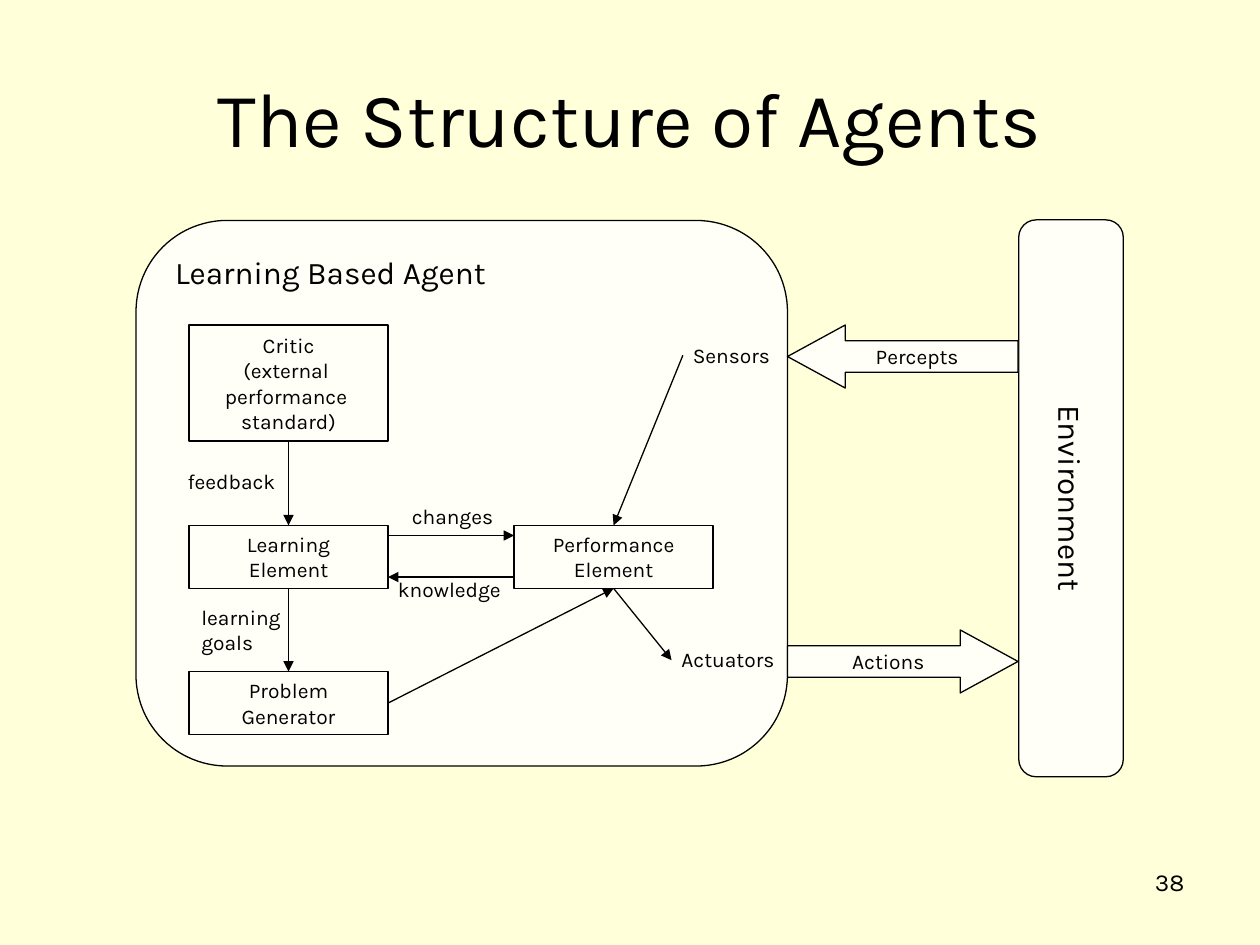
from pptx import Presentation
from pptx import util as u
from pptx.dml.color import RGBColor
from pptx.enum import shapes, text
from pptx.oxml.ns import qn
from lxml import etree

INK, PANEL, PAPER = "000000", "FFFFF7", "FFFFD9"
FONT = "Karla"
SHAPE = shapes.MSO_SHAPE
ALIGN = text.PP_ALIGN
ANCHOR = text.MSO_ANCHOR


def color(hex_code):
    return RGBColor.from_string(hex_code)


class Diagram:
    """Draws elements on one slide in a shared style."""

    def __init__(self, slide):
        self.slide = slide
        fill = slide.background.fill
        fill.solid()
        fill.fore_color.rgb = color(PAPER)

    def fill_text(self, frame, lines, size, align, anchor, wrap=False):
        frame.word_wrap = wrap
        frame.vertical_anchor = anchor
        for i, line in enumerate(lines):
            paragraph = frame.add_paragraph() if i else frame.paragraphs[0]
            paragraph.alignment = align
            run = paragraph.add_run()
            run.text = line
            run.font.size = u.Pt(size)
            run.font.name = FONT
            run.font.color.rgb = color(INK)

    def title(self, wording, box):
        holder = self.slide.shapes.title
        holder.left, holder.top, holder.width, holder.height = map(u.Inches, box)
        holder.text_frame.auto_size = text.MSO_AUTO_SIZE.NONE
        self.fill_text(holder.text_frame, [wording], 44, ALIGN.CENTER,
                       ANCHOR.MIDDLE, wrap=True)

    def block(self, kind, box, lines, size=12, align=ALIGN.CENTER,
              anchor=ANCHOR.MIDDLE, adjust=(), rotation=0):
        block = self.slide.shapes.add_shape(kind, *map(u.Inches, box))
        block.shadow.inherit = False
        block.rotation = rotation
        for i, value in enumerate(adjust):
            block.adjustments[i] = value
        block.fill.solid()
        block.fill.fore_color.rgb = color(PANEL)
        block.line.color.rgb = color(INK)
        block.line.width = u.Pt(0.75)
        self.fill_text(block.text_frame, lines, size, align, anchor)

    def label(self, wording, box, size=12, align=ALIGN.LEFT, wrap=False):
        label = self.slide.shapes.add_textbox(*map(u.Inches, box))
        self.fill_text(label.text_frame, [wording], size, align, ANCHOR.TOP, wrap)

    def arrow(self, start, end):
        arrow = self.slide.shapes.add_connector(
            shapes.MSO_CONNECTOR.STRAIGHT, *map(u.Inches, start + end))
        arrow.line.color.rgb = color(INK)
        arrow.line.width = u.Pt(0.75)
        properties = arrow._element.spPr
        etree.SubElement(properties.find(qn("a:ln")), qn("a:tailEnd"),
                         type="triangle")
        etree.SubElement(properties, qn("a:effectLst"))


def main():
    deck = Presentation()
    deck.slide_width, deck.slide_height = u.Inches(10), u.Inches(7.5)
    diagram = Diagram(deck.slides.add_slide(deck.slide_layouts[5]))

    diagram.title("The Structure of Agents", (0.5, 0.3, 9, 1.25))
    diagram.label("38", (7.17, 6.83, 2.33, 0.52), 14, ALIGN.RIGHT, wrap=True)

    diagram.block(SHAPE.ROUNDED_RECTANGLE, (1.08, 1.75, 5.17, 4.33),
                  ["Learning Based Agent"], 18, ALIGN.LEFT, ANCHOR.TOP, [0.167])
    diagram.block(SHAPE.ROUNDED_RECTANGLE, (6.29, 3.54, 4.42, 0.83),
                  ["Environment"], 18, adjust=[0.167], rotation=90)

    for kind, top, flow in ((SHAPE.LEFT_ARROW, 2.58, "Percepts"),
                            (SHAPE.RIGHT_ARROW, 5, "Actions")):
        diagram.block(kind, (6.25, top, 1.83, 0.5), [flow], adjust=[0.5, 0.917])

    # Component boxes share one width; the learning column sits at the left
    left, right, width = 1.5, 4.08, 1.58
    left_edge, left_mid, right_mid = left + width, left + width / 2, right + width / 2
    element_top, element_base, generator_top = 4.17, 4.67, 5.33
    for x, y, height, lines in (
            (left, 2.58, 0.92, ["Critic", "(external ", "performance ", "standard)"]),
            (right, element_top, 0.5, ["Performance", "Element"]),
            (left, element_top, 0.5, ["Learning", "Element"]),
            (left, generator_top, 0.5, ["Problem", "Generator"])):
        diagram.block(SHAPE.RECTANGLE, (x, y, width, height), lines)

    for start, end in (
            ((5.42, 2.82), (right_mid, element_top)),
            ((right_mid, element_base), (5.33, 5.24)),
            ((left_mid, 3.5), (left_mid, element_top)),
            ((left_mid, element_base), (left_mid, generator_top)),
            ((left_edge, 5.58), (right_mid, element_base)),
            ((right, 4.58), (left_edge, 4.58)),
            ((left_edge, 4.25), (right, 4.25))):
        diagram.arrow(start, end)

    for wording, x, y, label_width in (
            ("Sensors", 5.4, 2.67, 0.82),
            ("Actuators", 5.31, 5.08, 0.95),
            ("changes", 3.17, 3.95, 0.85),
            ("knowledge", 3.06, 4.53, 1.06),
            ("feedback", 1.39, 3.67, 0.91)):
        diagram.label(wording, (x, y, label_width, 0.3))
    diagram.label("learning goals", (1.5, 4.75, 0.83, 0.5), wrap=True)

    deck.save("out.pptx")


if __name__ == "__main__":
    main()
